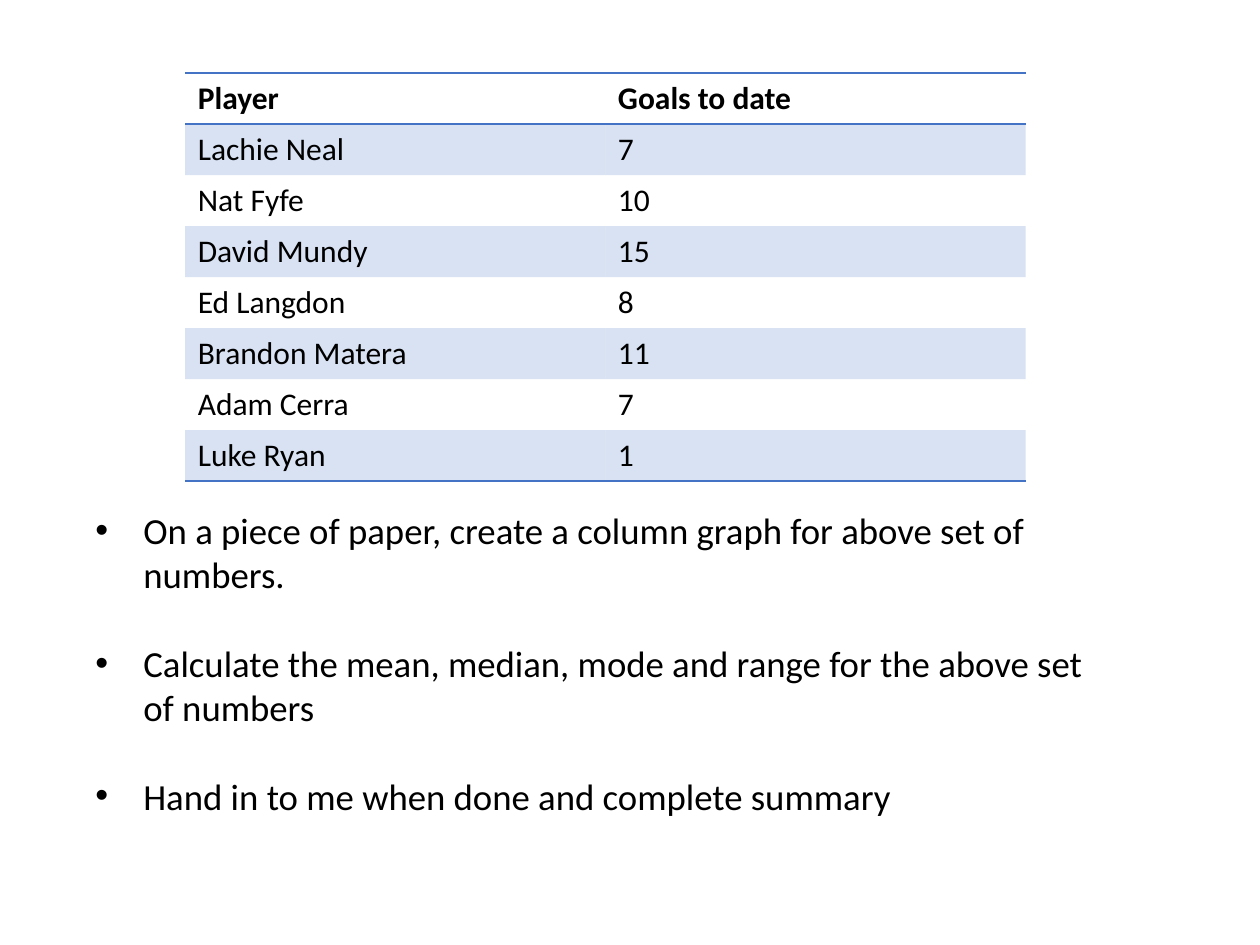
"""Builds a goals table slide with three bulleted tasks."""
from lxml import etree
from pptx import Presentation
from pptx import util as u
from pptx.dml.color import RGBColor
from pptx.oxml import ns

FONT, BLACK, BLUE = "Calibri", "000000", "4472C4"
NO_STYLE = "{2D5ABB26-0587-4C30-8999-92F81FD0307C}"
ROWS = [
    ("Player", "Goals to date"),
    ("Lachie Neal", "7"),
    ("Nat Fyfe", "10"),
    ("David Mundy", "15"),
    ("Ed Langdon", "8"),
    ("Brandon Matera", "11"),
    ("Adam Cerra", "7"),
    ("Luke Ryan", "1"),
]
TASKS = [
    "On a piece of paper, create a column graph for above set of numbers.",
    "Calculate the mean, median, mode and range for the above set of numbers",
    "Hand in to me when done and complete summary",
]


def rgb(value):
    return RGBColor.from_string(value)


def add_run(p, words, size, bold=False):
    r = p.add_run()
    r.text = words
    r.font.name, r.font.size, r.font.bold = FONT, u.Pt(size), bold
    r.font.color.rgb = rgb(BLACK)


def sub(parent, tag, **attrs):
    return etree.SubElement(parent, ns.qn(tag), attrs)


def add_borders(cell, sides):
    tc_pr = cell._tc.get_or_add_tcPr()
    for i, side in enumerate(sides):
        ln = sub(tc_pr, f"a:ln{side}", w=str(u.Pt(1)))
        sub(sub(ln, "a:solidFill"), "a:srgbClr", val=BLUE)
        tc_pr.insert(i, ln)


def shade(cell, color, percent):
    cell.fill.solid()
    cell.fill.fore_color.rgb = rgb(color)
    clr = cell._tc.tcPr.find(".//" + ns.qn("a:srgbClr"))
    sub(clr, "a:alpha", val=str(percent * 1000))


def add_goals(s):
    frame = s.shapes.add_table(len(ROWS), 2, u.Inches(1.47), u.Inches(0.58),
                               u.Inches(6.67), u.Inches(3.24))
    table = frame.table
    table.horz_banding = False
    table._tbl.tblPr.find(ns.qn("a:tableStyleId")).text = NO_STYLE
    borders = {0: "TB", len(ROWS) - 1: "B"}
    for i, row in enumerate(ROWS):
        for j, words in enumerate(row):
            cell = table.cell(i, j)
            add_run(cell.text_frame.paragraphs[0], words, 18, bold=i == 0)
            if i % 2:
                shade(cell, BLUE, 20)
            else:
                cell.fill.background()
            add_borders(cell, borders.get(i, ""))


def add_tasks(s):
    box = s.shapes.add_textbox(u.Inches(0.66), u.Inches(3.98),
                               u.Inches(8.07), u.Inches(2.57))
    tf = box.text_frame
    tf.word_wrap = True
    for i, words in enumerate(TASKS):
        p = tf.add_paragraph() if i else tf.paragraphs[0]
        p_pr = p._p.get_or_add_pPr()
        p_pr.set("marL", str(u.Inches(0.38)))
        p_pr.set("indent", str(-u.Inches(0.38)))
        sub(p_pr, "a:buFont", typeface="Arial")
        sub(p_pr, "a:buChar", char="•")
        if i:
            p.space_before = u.Pt(25.5)
        add_run(p, words, 21)


def main():
    prs = Presentation()
    prs.slide_width, prs.slide_height = u.Inches(10), u.Inches(7.5)
    s = prs.slides.add_slide(prs.slide_layouts[6])
    add_tasks(s)
    add_goals(s)
    prs.save("out.pptx")


if __name__ == "__main__":
    main()
